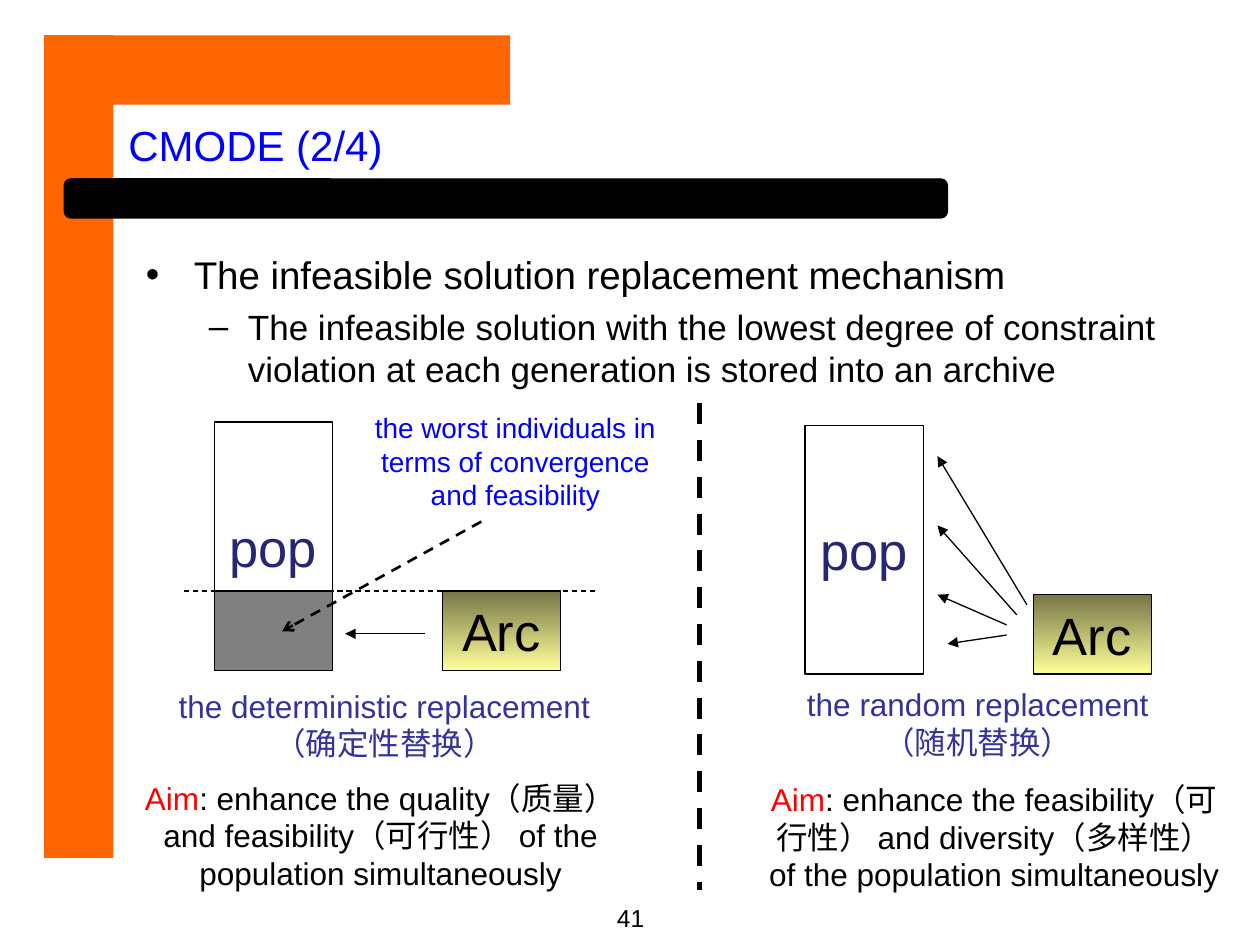
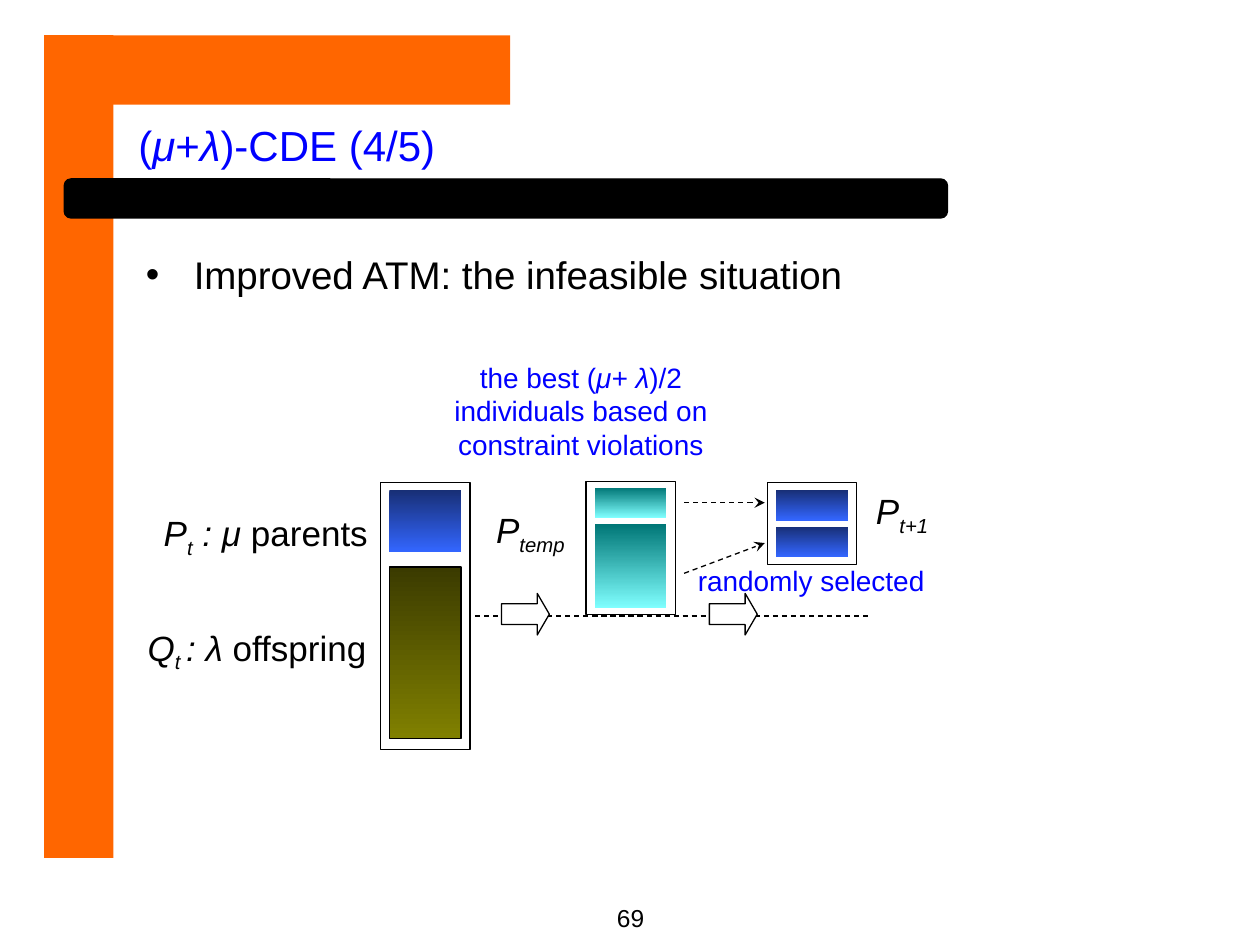
from lxml import etree
from pptx import Presentation
from pptx.dml.color import RGBColor
from pptx.enum.dml import MSO_LINE
from pptx.enum.shapes import MSO_CONNECTOR, MSO_SHAPE
from pptx.enum.text import MSO_ANCHOR, PP_ALIGN
from pptx.oxml.ns import qn
from pptx.util import Emu, Pt

RECT, ROUND = MSO_SHAPE.RECTANGLE, MSO_SHAPE.ROUNDED_RECTANGLE
ARROW = MSO_SHAPE.RIGHT_ARROW
STRAIGHT, DASH = MSO_CONNECTOR.STRAIGHT, MSO_LINE.DASH
LEFT, CENTER = PP_ALIGN.LEFT, PP_ALIGN.CENTER
TOP, MIDDLE = MSO_ANCHOR.TOP, MSO_ANCHOR.MIDDLE

FONT = "Arial"
BLACK, WHITE, GREY = "000000", "FFFFFF", "808080"
ORANGE, BLUE, RED = "FF6600", "0000FF", "FF0000"
INDIGO, NAVY = "333399", "262673"
YELLOW_FADE = ("767647", "FFFF99")
BLUE_FADE = ("182F76", "3366FF")
OLIVE_FADE = ("3B3B00", "808000")
TEAL_FADE = ("007676", "80FFFF")
ITALIC = {"italic": True}
SUB = {"italic": True, "sub": True}
BULLETS = [("•", 38, -38, 22, 5.5), ("–", 81, -31, 20, 5)]


def px(n):
    """Turn px (100 to the inch) into EMU."""
    return Emu(n * 9144)


def rgb(color):
    """Turn a hex string into a colour."""
    return RGBColor.from_string(color)


def add_runs(p, runs, size, color):
    """Fill a paragraph from a string or a list of (text, style) pairs."""
    if isinstance(runs, str):
        runs = [(runs, {})]
    for text, style in runs:
        r = p.add_run()
        r.text = text
        r.font.name, r.font.size = FONT, Pt(size)
        r.font.color.rgb = rgb(style.get("color", color))
        r.font.italic = style.get("italic", False)
        if style.get("sub"):
            r.font._element.set("baseline", "-25000")


def add_text(s, box, paragraphs, size, color=BLACK, align=CENTER, anchor=TOP, wrap=True):
    """Add a text box with one entry per paragraph."""
    tf = s.shapes.add_textbox(*map(px, box)).text_frame
    tf.word_wrap, tf.vertical_anchor = wrap, anchor
    for i, runs in enumerate(paragraphs):
        p = tf.add_paragraph() if i else tf.paragraphs[0]
        p.alignment = align
        add_runs(p, runs, size, color)


def add_box(s, box, fill=None, line=None, kind=RECT, adj=(), label="", color=BLACK):
    """Add a preset shape; a pair of colours makes a vertical gradient."""
    sp = s.shapes.add_shape(kind, *map(px, box))
    sp.shadow.inherit = False
    for i, value in enumerate(adj):
        sp.adjustments[i] = value
    if fill is None:
        sp.fill.background()
    elif isinstance(fill, str):
        sp.fill.solid()
        sp.fill.fore_color.rgb = rgb(fill)
    else:
        sp.fill.gradient()
        sp.fill.gradient_angle = 270
        for stop, shade in zip(sp.fill.gradient_stops, fill):
            stop.color.rgb = rgb(shade)
    if line:
        sp.line.color.rgb = rgb(line)
        sp.line.width = Pt(0.75)
    else:
        sp.line.fill.background()
    if label:
        tf = sp.text_frame
        tf.word_wrap, tf.vertical_anchor = False, MIDDLE
        tf.paragraphs[0].alignment = CENTER
        add_runs(tf.paragraphs[0], label, 30, color)


def add_line(s, ends, width=0.75, dashed=False, head=None):
    """Add a straight black line, optionally dashed or with an arrowhead."""
    c = s.shapes.add_connector(STRAIGHT, *map(px, ends))
    c.line.color.rgb = rgb(BLACK)
    c.line.width = Pt(width)
    if dashed:
        c.line.dash_style = DASH
    if head:
        etree.SubElement(c.line._get_or_add_ln(), qn("a:tailEnd"), type=head)
    etree.SubElement(c._element.spPr, qn("a:effectLst"))


def add_bullets(s, items):
    """Add the body text, one bullet level deeper per item."""
    tf = s.shapes.add_textbox(*map(px, (106, 194, 844, 465))).text_frame
    tf.word_wrap = True
    for level, text in enumerate(items):
        char, margin, indent, size, before = BULLETS[level]
        p = tf.add_paragraph() if level else tf.paragraphs[0]
        p.level = level
        pPr = p._p.get_or_add_pPr()
        pPr.set("marL", str(px(margin)))
        pPr.set("indent", str(px(indent)))
        etree.SubElement(pPr, qn("a:buFont"), typeface=FONT)
        etree.SubElement(pPr, qn("a:buChar"), char=char)
        if level:
            p.space_before = Pt(before)
        add_runs(p, text, size, BLACK)


def add_base(prs, title, number, title_x=92):
    """Add a slide with its bands, title and page number."""
    s = prs.slides.add_slide(prs.slide_layouts[6])
    add_box(s, (35, 28, 55, 653), ORANGE)
    add_box(s, (35, 28, 370, 55), ORANGE)
    add_box(s, (51, 142, 701, 31), BLACK, BLACK, ROUND, [0.17])
    add_text(s, (title_x, 91, 794, 47), [title], 24, BLUE, LEFT, MIDDLE)
    add_text(s, (342, 712, 317, 38), [number], 14)
    return s


def add_pop_and_archive(s, x, y):
    """Add a population box with its archive at the lower right."""
    add_box(s, (x, y, 94, 197), line=BLACK, label="pop", color=NAVY)
    add_box(s, (x + 181, y + 134, 94, 63), YELLOW_FADE, BLACK, label="Arc")


def add_replacement_slide(prs):
    """Compare deterministic and random replacement."""
    s = add_base(prs, "CMODE (2/4)", "41")
    add_bullets(s, [
        "The infeasible solution replacement mechanism",
        "The infeasible solution with the lowest degree of constraint violation "
        "at each generation is stored into an archive"])
    add_text(s, (115, 540, 380, 70), ["the deterministic replacement", "（确定性替换）"],
             18, INDIGO, wrap=False)
    add_text(s, (616, 539, 320, 70), ["the random replacement", "（随机替换）"],
             18, INDIGO, wrap=False)

    add_pop_and_archive(s, 170, 335)
    add_box(s, (170, 469, 94, 63), GREY, BLACK)
    add_line(s, (337, 503, 274, 503), head="triangle")
    add_line(s, (146, 469, 472, 469), dashed=True)

    add_pop_and_archive(s, 639, 338)
    for ends in [(815, 480, 744, 362), (807, 488, 744, 417),
                 (799, 496, 744, 472), (799, 504, 752, 511)]:
        add_line(s, ends, head="triangle")

    aim = ("Aim", {"color": RED})
    add_text(s, (600, 614, 378, 130), [[aim, (
        ": enhance the feasibility（可行性） and diversity（多样性） "
        "of the population simultaneously", {})]], 18)
    add_text(s, (97, 613, 410, 100), [[aim, (
        ": enhance the quality（质量） and feasibility（可行性） "
        "of the population simultaneously", {})]], 18)
    add_line(s, (555, 320, 555, 706), 3, dashed=True)
    add_text(s, (277, 321, 264, 90),
             ["the worst individuals in terms of convergence and feasibility"], 16, BLUE)
    add_line(s, (382, 414, 224, 501), 1.5, dashed=True, head="arrow")


def add_selection_slide(prs):
    """Show how parents and offspring become the next population."""
    s = add_base(prs, [("(", {}), ("μ", ITALIC), ("+", {}), ("λ", ITALIC),
                       (")-CDE (4/5)", {})], "69", title_x=100)
    add_bullets(s, ["Improved ATM: the infeasible situation"])

    add_box(s, (302, 383, 71, 212), WHITE, BLACK)
    add_box(s, (309, 389, 57, 49), BLUE_FADE)
    add_box(s, (309, 450, 57, 136), OLIVE_FADE, BLACK)

    add_box(s, (465, 382, 71, 106), WHITE, BLACK)
    add_box(s, (472, 387, 57, 24), TEAL_FADE)
    add_box(s, (472, 416, 57, 67), TEAL_FADE)
    add_line(s, (377, 489, 689, 489), dashed=True)

    add_box(s, (609, 383, 71, 65), WHITE, BLACK)
    for y in (389, 418):
        add_box(s, (616, y, 57, 24), BLUE_FADE)
    for y_from, y_to in [(399, 399), (455, 431)]:
        add_line(s, (543, y_from, 607, y_to), dashed=True, head="stealth")
    for x in (398, 563):
        add_box(s, (x, 471, 38, 33), WHITE, BLACK, ARROW, [0.5, 0.29])

    for box, index in [((366, 399, 110, 47), "temp"), ((661, 384, 110, 47), "t+1")]:
        add_text(s, box, [[("P", ITALIC), (index, SUB)]], 20, anchor=MIDDLE, wrap=False)
    add_text(s, (111, 401, 200, 48), [[("P", ITALIC), ("t", SUB), (" : μ ", ITALIC),
                                       ("parents", {})]], 20, wrap=False)
    add_text(s, (99, 492, 210, 48), [[("Q", ITALIC), ("t ", SUB), (": λ ", ITALIC),
                                      ("offspring", {})]], 20, wrap=False)
    add_text(s, (327, 281, 268, 90), [[
        ("the best (", {}), ("μ+ λ", ITALIC),
        (")/2 individuals based on constraint violations", {})]], 16, BLUE)
    add_text(s, (544, 442, 220, 37), ["randomly selected"], 16, BLUE, LEFT)


def main():
    """Build both slides and save them."""
    prs = Presentation()
    prs.slide_width, prs.slide_height = px(1000), px(750)
    add_replacement_slide(prs)
    add_selection_slide(prs)
    prs.save("out.pptx")


if __name__ == "__main__":
    main()
